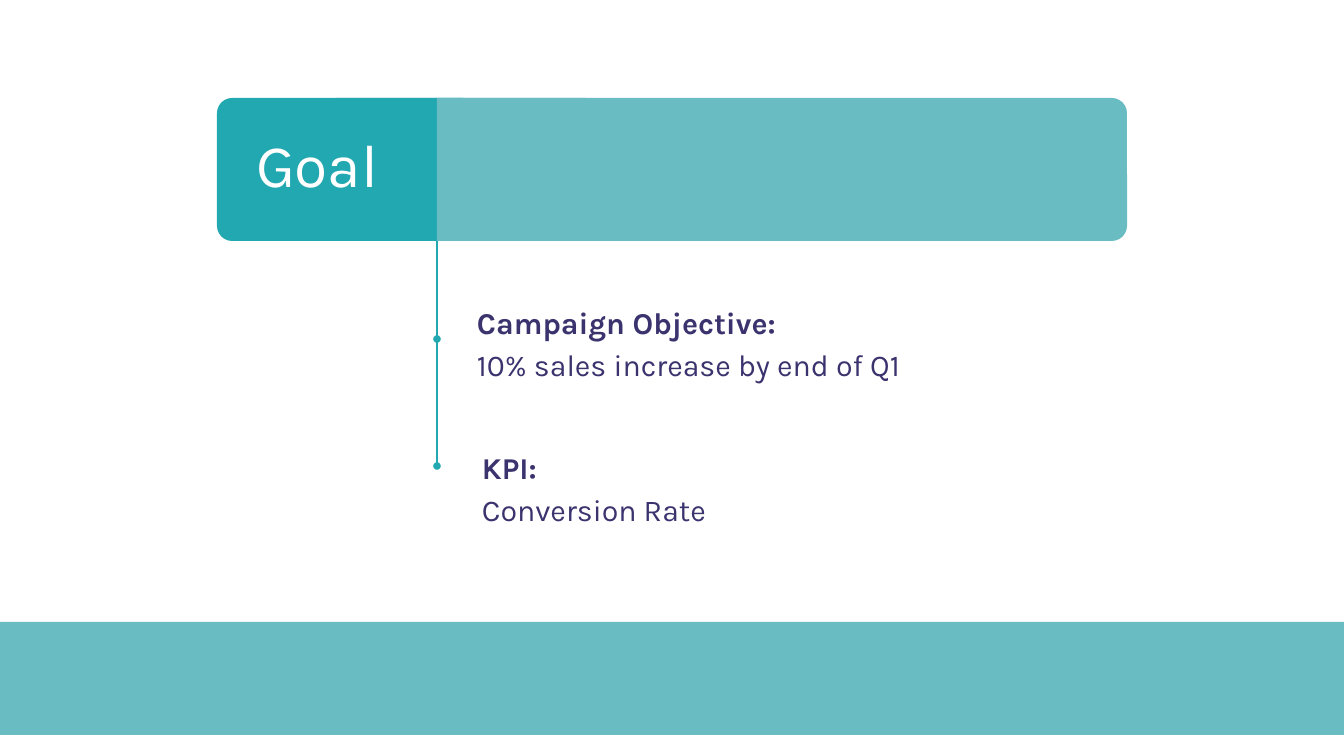
from dataclasses import dataclass

from lxml import etree
from pptx import Presentation
from pptx import util as u
from pptx.dml.color import RGBColor
from pptx.enum import shapes, text
from pptx.oxml.ns import qn


@dataclass(frozen=True)
class Theme:
    font: str = "Karla"
    teal: str = "21A8B0"
    light_teal: str = "69BCC1"
    ink: str = "3B336E"
    white: str = "FFFFFF"
    title_size: int = 72
    body_size: int = 36
    line_width: int = 3
    line_spacing: float = 1.15
    corner: float = 0.106


def px(length):
    return u.Emu(round(length * 914400 / 60.5))


class GoalSlide:
    def __init__(self, presentation, theme):
        self.theme = theme
        self.slide = presentation.slides.add_slide(presentation.slide_layouts[5])

    def block(self, left, top, width, height, color, corner=0):
        kind = shapes.MSO_SHAPE.ROUNDED_RECTANGLE if corner else shapes.MSO_SHAPE.RECTANGLE
        shape = self.slide.shapes.add_shape(kind, px(left), px(top), px(width), px(height))
        if corner:
            shape.adjustments[0] = corner
        shape.shadow.inherit = False
        shape.fill.solid()
        shape.fill.fore_color.rgb = RGBColor.from_string(color)
        shape.line.fill.background()

    def stem(self, x, top, bottom):
        connector = self.slide.shapes.add_connector(
            shapes.MSO_CONNECTOR.STRAIGHT, px(x), px(top), px(x), px(bottom))
        connector.line.color.rgb = RGBColor.from_string(self.theme.teal)
        connector.line.width = u.Pt(self.theme.line_width)
        etree.SubElement(connector.line._get_or_add_ln(), qn("a:tailEnd"), type="oval")
        etree.SubElement(connector.element.spPr, qn("a:effectLst"))

    def set_frame(self, shape, words, inset):
        frame = shape.text_frame
        frame.text = words
        frame.word_wrap = True
        frame.auto_size = text.MSO_AUTO_SIZE.NONE
        frame.vertical_anchor = text.MSO_ANCHOR.MIDDLE
        frame.margin_left = frame.margin_right = px(inset)
        frame.margin_top = frame.margin_bottom = px(inset)
        return frame.paragraphs

    def format_paragraph(self, paragraph, size, color, spacing, bold=False):
        paragraph.alignment = text.PP_ALIGN.LEFT
        paragraph.line_spacing = spacing
        for run in paragraph.runs:
            run.font.name = self.theme.font
            run.font.size = u.Pt(size)
            run.font.bold = bold
            run.font.color.rgb = RGBColor.from_string(color)

    def title(self, left, top, width, height, words):
        title = self.slide.shapes.title
        title.left, title.top, title.width, title.height = map(px, (left, top, width, height))
        for paragraph in self.set_frame(title, words, 6):
            self.format_paragraph(paragraph, self.theme.title_size, self.theme.white, 1.0)
        title.element.getparent().append(title.element)

    def detail(self, left, top, width, height, heading, value):
        box = self.slide.shapes.add_textbox(px(left), px(top), px(width), px(height))
        paragraphs = self.set_frame(box, f"{heading}\n{value}", 13)
        for paragraph, bold in zip(paragraphs, (True, False)):
            self.format_paragraph(paragraph, self.theme.body_size, self.theme.ink,
                                  self.theme.line_spacing, bold)


def main():
    presentation = Presentation()
    presentation.slide_width, presentation.slide_height = px(1344), px(735)
    theme = Theme()
    goal = GoalSlide(presentation, theme)

    goal.block(0, 622, 1344, 113, theme.light_teal)
    for top in (339, 212):
        goal.stem(437, top, top + 127)
    goal.detail(464, 266, 612, 149, "Campaign Objective:", "10% sales increase by end of Q1")
    goal.detail(469, 440, 419, 91, "KPI:", "Conversion Rate")

    banner_top, banner_height = 98, 143
    goal.block(321, banner_top, 806, banner_height, theme.light_teal, theme.corner)
    goal.block(217, banner_top, 261, banner_height, theme.teal, theme.corner)
    goal.block(437, banner_top, 149, banner_height, theme.light_teal)
    goal.title(250, 99, 158, 129, "Goal")

    presentation.save("out.pptx")


if __name__ == "__main__":
    main()
